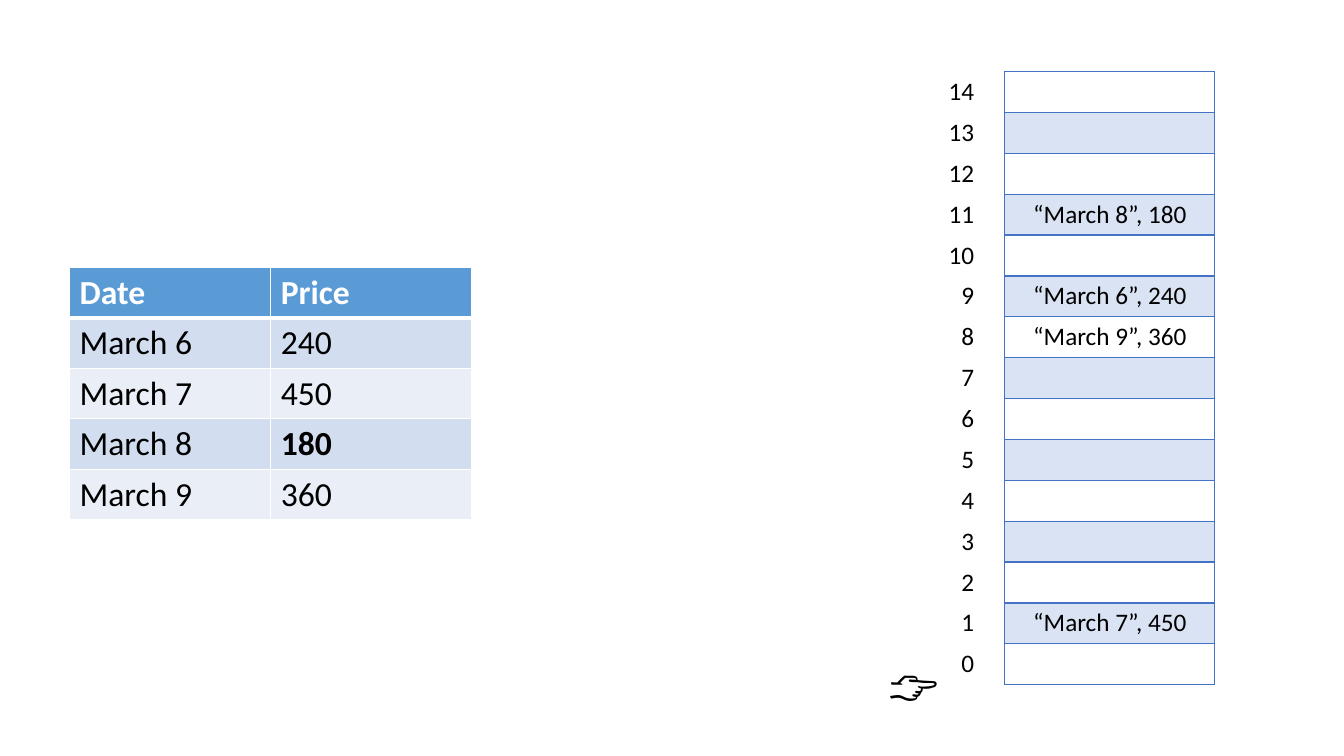
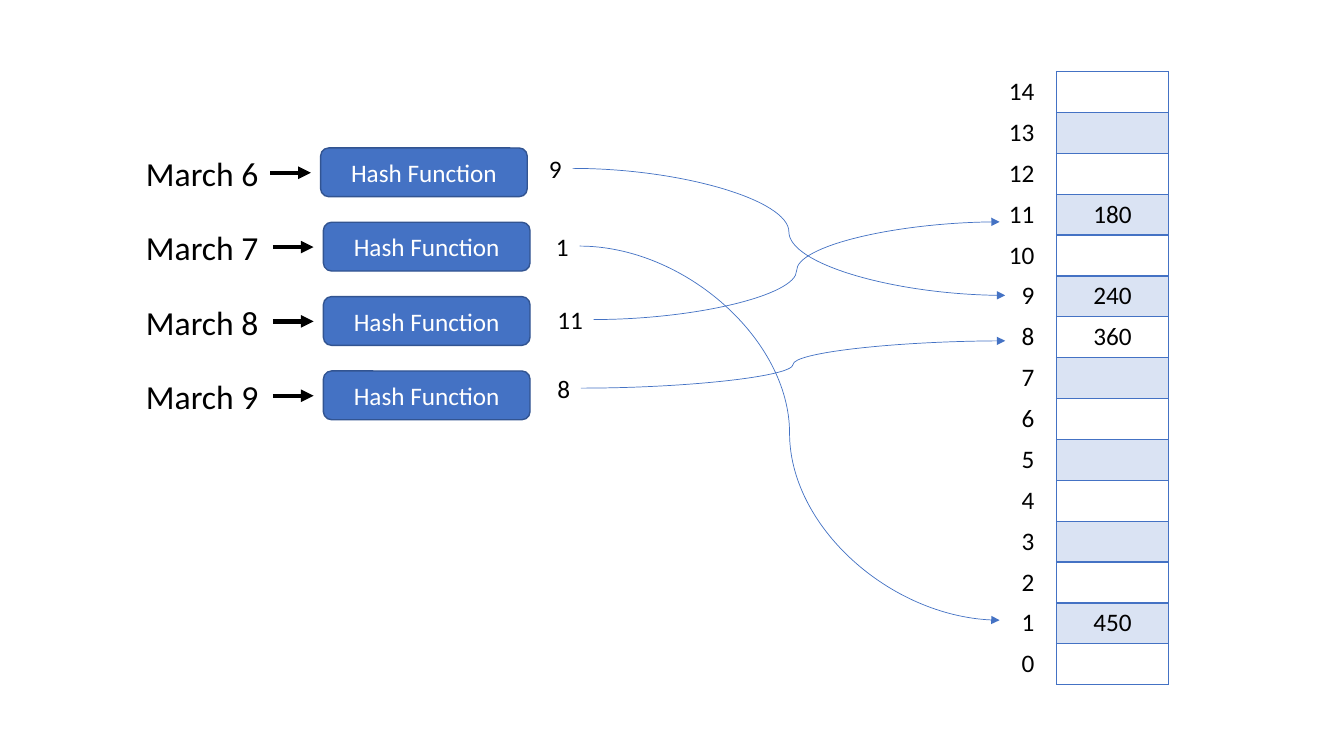
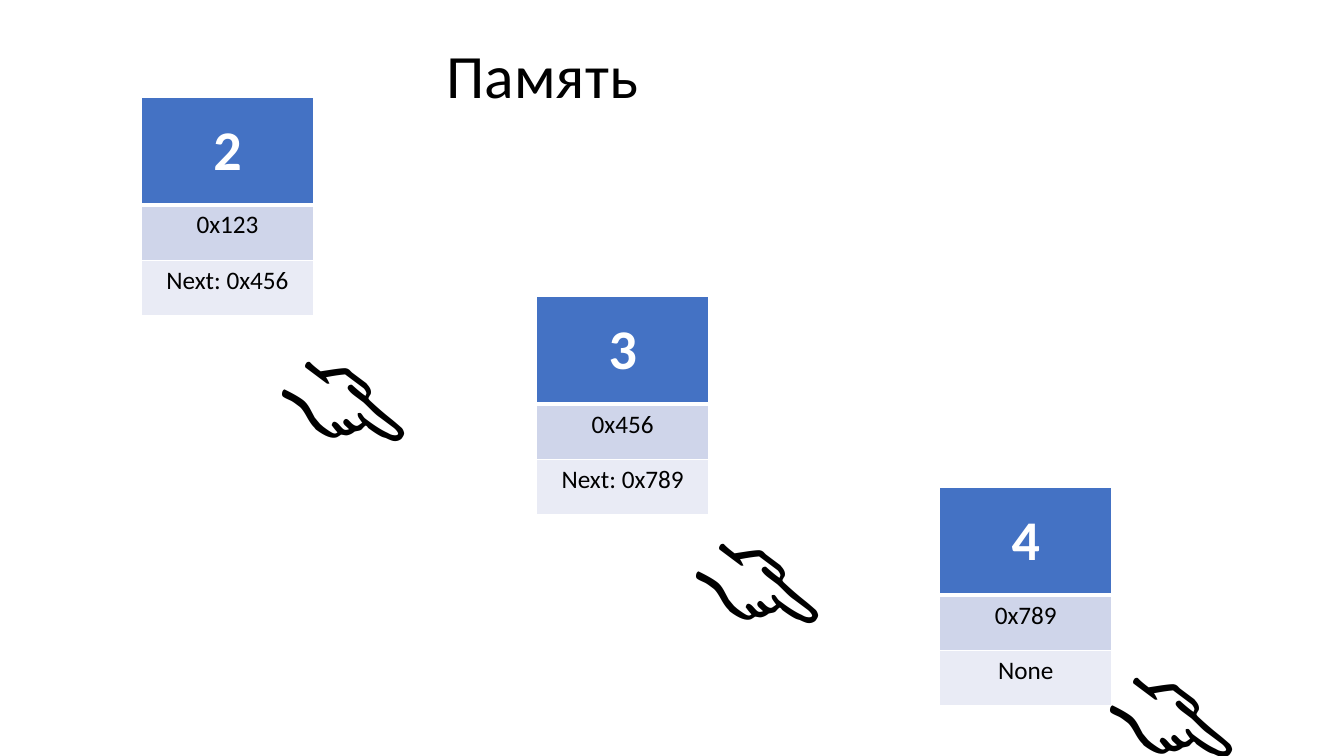
from lxml.etree import SubElement
from pptx import Presentation
from pptx.dml.color import RGBColor
from pptx.enum.shapes import MSO_CONNECTOR, MSO_SHAPE
from pptx.enum.text import MSO_ANCHOR, MSO_AUTO_SIZE, PP_ALIGN
from pptx.oxml.ns import qn
from pptx.util import Pt

BLACK = RGBColor(0, 0, 0)
WHITE = RGBColor(255, 255, 255)
BLUE = RGBColor(0x44, 0x72, 0xC4)
NAVY = RGBColor(0x32, 0x54, 0x91)
TINT = RGBColor(0xDA, 0xE3, 0xF3)
SKY = RGBColor(0x5B, 0x9B, 0xD5)
SKY_BANDS = (RGBColor(0xEA, 0xEF, 0xF7), RGBColor(0xD2, 0xDE, 0xEF))
NODE_BANDS = (RGBColor(0xE9, 0xEB, 0xF5), RGBColor(0xCF, 0xD5, 0xEA))
FONT = "Calibri"
PLAIN = "{2D5ABB26-0587-4C30-8999-92F81FD0307C}"
SLOTS = 15
SLOT_TOP, SLOT_HIGH = 51.1, 29.2


def write(frame, text, size=18, color=BLACK, bold=False, align=PP_ALIGN.LEFT, space=None):
    par = frame.paragraphs[0]
    par.alignment = align
    if space:
        par.line_spacing = space
    run = par.add_run()
    run.text = text
    run.font.name = FONT
    run.font.size = Pt(size)
    run.font.bold = bold
    run.font.color.rgb = color


def label(slide, text, left, top, width, high, turn=0, wrap=False, **form):
    box = slide.shapes.add_textbox(Pt(left), Pt(top), Pt(width), Pt(high))
    box.rotation = turn
    box.text_frame.word_wrap = wrap
    box.text_frame.auto_size = MSO_AUTO_SIZE.SHAPE_TO_FIT_TEXT
    write(box.text_frame, text, **form)


def hand(slide, left, top, width, high, turn, size):
    label(slide, "👇", left, top, width, high, turn=turn, wrap=True, size=size)


def border(cell, side, color, width):
    line = SubElement(cell._tc.get_or_add_tcPr(), qn("a:ln" + side), w=str(Pt(width)))
    fill = SubElement(line, qn("a:solidFill"))
    SubElement(fill, qn("a:srgbClr"), val=str(color))


def grid(slide, left, top, width, highs, rows, look, edge=None, head=1):
    cols = len(rows[0])
    frame = slide.shapes.add_table(len(rows), cols, Pt(left), Pt(top), Pt(width), Pt(sum(highs)))
    table = frame.table
    table.first_row = table.horz_banding = False
    frame._element.find(".//" + qn("a:tableStyleId")).text = PLAIN
    for row, high in zip(table.rows, highs):
        row.height = Pt(high)
    for r, row in enumerate(rows):
        for c, text in enumerate(row):
            cell = table.cell(r, c)
            fill, anchor, form = look(r, text)
            if edge:
                for side in "LRTB":
                    if side != "T" or r == 0:
                        border(cell, side, edge, head if side == "B" and r == 0 else 1)
            if fill:
                cell.fill.solid()
                cell.fill.fore_color.rgb = fill
            else:
                cell.fill.background()
            cell.vertical_anchor = anchor
            if text:
                write(cell.text_frame, text, **form)


def stack(slide, left, width, side, values):
    def slot(r, text):
        return TINT if r % 2 else None, MSO_ANCHOR.TOP, {"align": PP_ALIGN.CENTER}

    def index(r, text):
        return None, MSO_ANCHOR.TOP, {"align": PP_ALIGN.RIGHT}

    highs = [SLOT_HIGH] * SLOTS
    order = range(SLOTS - 1, -1, -1)
    grid(slide, left, SLOT_TOP, width, highs, [[values.get(n, "")] for n in order], slot, BLUE)
    grid(slide, side, SLOT_TOP, 80, highs, [[str(n)] for n in order], index)


def prices(slide, left, top, rows):
    def look(r, text):
        if r == 0:
            return SKY, MSO_ANCHOR.TOP, {"size": 24, "color": WHITE, "bold": True}
        return SKY_BANDS[r % 2], MSO_ANCHOR.TOP, {"size": 24, "bold": text == "180"}

    grid(slide, left, top, 287.5, [36] * len(rows), rows, look, WHITE, 3)


def node(slide, left, top, texts):
    def look(r, text):
        if r == 0:
            form = {"size": 40, "color": WHITE, "bold": True, "align": PP_ALIGN.CENTER}
            return BLUE, MSO_ANCHOR.MIDDLE, form
        return NODE_BANDS[r % 2], MSO_ANCHOR.TOP, {"align": PP_ALIGN.CENTER}

    grid(slide, left, top, 123, [77, 39.5, 39.5], [[t] for t in texts], look, WHITE, 3)


def arrow(slide, kind, start, end, color, width):
    line = slide.shapes.add_connector(kind, *map(Pt, start + end))
    line.line.color.rgb = color
    line.line.width = Pt(width)
    SubElement(line.line._get_or_add_ln(), qn("a:tailEnd"), type="triangle")
    SubElement(line._element.spPr, qn("a:effectLst"))


def button(slide, text, left, top, width, high):
    box = slide.shapes.add_shape(
        MSO_SHAPE.ROUNDED_RECTANGLE, Pt(left), Pt(top), Pt(width), Pt(high))
    box.shadow.inherit = False
    box.fill.solid()
    box.fill.fore_color.rgb = BLUE
    box.line.color.rgb = NAVY
    box.line.width = Pt(1)
    box.text_frame.vertical_anchor = MSO_ANCHOR.MIDDLE
    write(box.text_frame, text, color=WHITE, align=PP_ALIGN.CENTER)


def title(slide, text, left, top, width, high):
    box = slide.shapes.title
    box.left, box.top, box.width, box.height = map(Pt, (left, top, width, high))
    box.text_frame.auto_size = MSO_AUTO_SIZE.NONE
    box.text_frame.vertical_anchor = MSO_ANCHOR.TOP
    write(box.text_frame, text, size=44, space=0.9)


def lookup(slide):
    stack(slide, 717.8, 150, 623, {
        11: "“March 8”, 180", 9: "“March 6”, 240",
        8: "“March 9”, 360", 1: "“March 7”, 450"})
    hand(slide, 602, 437, 93.6, 51, 270, 36)
    prices(slide, 49.7, 191, [
        ["Date", "Price"], ["March 6", "240"], ["March 7", "450"],
        ["March 8", "180"], ["March 9", "360"]])


def hashing(slide):
    stack(slide, 754.6, 80, 666, {11: "180", 9: "240", 8: "360", 1: "450"})
    flows = [
        ("March 6", "9", 229, 385, 106, (718, 211)),
        ("March 7", "1", 231, 390, 161.5, (714, 443)),
        ("March 8", "11", 231, 391, 214, (714, 158.5)),
        ("March 9", "8", 231, 391, 263, (718, 243.5)),
    ]
    for i, (date, code, left, side, level, end) in enumerate(flows):
        top = 105.7 + 53.1 * i
        label(slide, date, 97.2, top, 95.8, 36, size=24)
        mid = top + 17.7
        arrow(slide, MSO_CONNECTOR.STRAIGHT, (left - 36, mid), (left - 7, mid), BLACK, 3)
        button(slide, "Hash Function", left, top, 147.6, 34.8)
        width = 24 if len(code) == 1 else 33
        label(slide, code, side, level, width, 29)
        arrow(slide, MSO_CONNECTOR.CURVE, (side + width, level + 14.3), end, BLUE, 0.5)


def memory(slide):
    node(slide, 101, 69.3, ["2", "0x123", "Next: 0x456"])
    node(slide, 383.3, 211.8, ["3", "0x456", "Next: 0x789"])
    node(slide, 671.2, 348, ["4", "0x789", "None"])
    title(slide, "Память", 311.8, 28.8, 581.8, 104.4)
    for left, top in ((188.6, 194.2), (484.6, 324.2), (779.8, 420)):
        hand(slide, left, top, 147, 123.7, 306.8, 96)


def main():
    deck = Presentation()
    deck.slide_width, deck.slide_height = Pt(960), Pt(540)
    for draw, kind in ((lookup, 6), (hashing, 6), (memory, 5)):
        draw(deck.slides.add_slide(deck.slide_layouts[kind]))
    deck.save("out.pptx")


if __name__ == "__main__":
    main()
